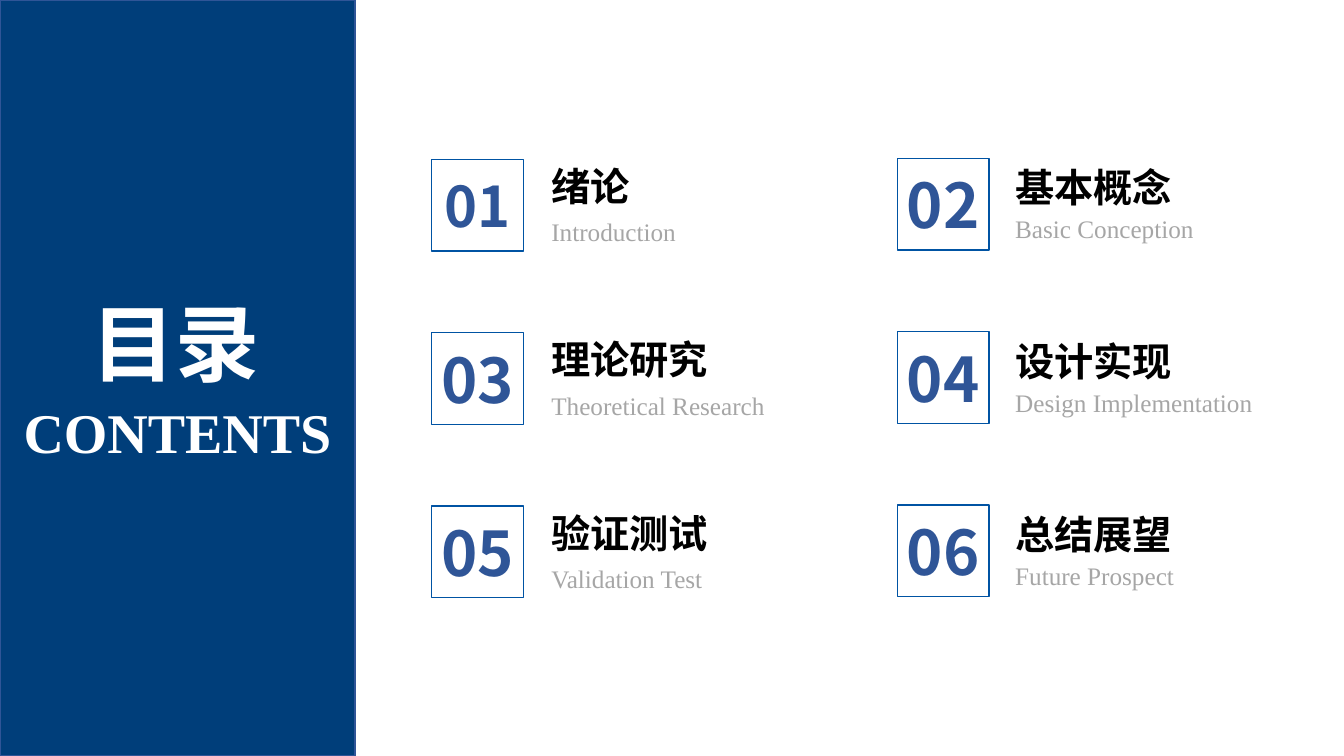
import pptx
import pptx.dml.color
import pptx.enum.shapes
import pptx.enum.text
import pptx.oxml.ns
import pptx.util

SLIDE_WIDTH, SLIDE_HEIGHT = 13.33, 7.5
PANEL_WIDTH = 3.52
CHINESE_FONT, LATIN_FONT = "Noto Sans CJK SC", "Times New Roman"
NAVY, BLUE, FRAME_BLUE = "003E7A", "2F5597", "0053A3"
WHITE, BLACK, GRAY = "FFFFFF", "000000", "A6A6A6"

CHAPTERS = [
    ("绪论", "Introduction"),
    ("基本概念", "Basic Conception"),
    ("理论研究", "Theoretical Research"),
    ("设计实现", "Design Implementation"),
    ("验证测试", "Validation Test"),
    ("总结展望", "Future Prospect"),
]
# Per column: frame left, first frame top, text left, title and subtitle offsets
COLUMNS = [
    (4.28, 1.58, 5.37, -0.02, 0.52),
    (8.9, 1.57, 9.97, 0, 0.5),
]
ROW_PITCH = 1.72
FRAME_SIZE = 0.91
NUMBER_WIDTH, NUMBER_HEIGHT = 0.98, 0.84
TEXT_WIDTH = 2.62

ALIGN = pptx.enum.text.PP_ALIGN


def color(hex_string):
    return pptx.dml.color.RGBColor.from_string(hex_string)


def add_rectangle(slide, left, top, width, height, line, fill=None):
    shape = slide.shapes.add_shape(
        pptx.enum.shapes.MSO_SHAPE.RECTANGLE,
        *map(pptx.util.Inches, (left, top, width, height)))
    shape.shadow.inherit = False
    if fill:
        shape.fill.solid()
        shape.fill.fore_color.rgb = color(fill)
    else:
        shape.fill.background()
    shape.line.color.rgb = color(line)
    shape.line.width = pptx.util.Pt(1)


def add_text(slide, text, left, top, width, height, *, size, font, fill,
             bold=False, align=ALIGN.LEFT):
    box = slide.shapes.add_textbox(
        *map(pptx.util.Inches, (left, top, width, height)))
    frame = box.text_frame
    frame.word_wrap = True
    frame.vertical_anchor = pptx.enum.text.MSO_ANCHOR.MIDDLE
    paragraph = frame.paragraphs[0]
    paragraph.alignment = align
    run = paragraph.add_run()
    run.text = text
    run.font.size = pptx.util.Pt(size)
    run.font.bold = bold
    run.font.color.rgb = color(fill)
    run.font.name = font
    east_asian = run.font._element.makeelement(
        pptx.oxml.ns.qn("a:ea"), {"typeface": font})
    run.font._element.append(east_asian)


def add_chapter(slide, index, title, subtitle):
    row, column = divmod(index, len(COLUMNS))
    left, first_top, text_left, title_offset, subtitle_offset = COLUMNS[column]
    top = first_top + row * ROW_PITCH
    add_text(slide, title, text_left, top + title_offset, TEXT_WIDTH, 0.57,
             size=28, font=CHINESE_FONT, fill=BLACK, bold=True)
    add_text(slide, subtitle, text_left, top + subtitle_offset, TEXT_WIDTH, 0.4,
             size=18, font=LATIN_FONT, fill=GRAY)
    add_text(slide, f"{index + 1:02d}",
             left + (FRAME_SIZE - NUMBER_WIDTH) / 2,
             top + (FRAME_SIZE - NUMBER_HEIGHT) / 2,
             NUMBER_WIDTH, NUMBER_HEIGHT, size=40 if index == 0 else 44,
             font=CHINESE_FONT, fill=BLUE, bold=True, align=ALIGN.CENTER)
    add_rectangle(slide, left, top, FRAME_SIZE, FRAME_SIZE, FRAME_BLUE)


def main():
    presentation = pptx.Presentation()
    presentation.slide_width = pptx.util.Inches(SLIDE_WIDTH)
    presentation.slide_height = pptx.util.Inches(SLIDE_HEIGHT)
    slide = presentation.slides.add_slide(presentation.slide_layouts[6])
    add_rectangle(slide, 0, 0, PANEL_WIDTH, SLIDE_HEIGHT, BLUE, fill=NAVY)
    add_text(slide, "目录", 0.78, 2.84, 1.89, 1.11, size=60,
             font=CHINESE_FONT, fill=WHITE, bold=True, align=ALIGN.RIGHT)
    add_text(slide, "CONTENTS", 0, 3.89, PANEL_WIDTH, 0.77, size=40,
             font=LATIN_FONT, fill=WHITE, bold=True, align=ALIGN.CENTER)
    for index, (title, subtitle) in enumerate(CHAPTERS):
        add_chapter(slide, index, title, subtitle)
    presentation.save("out.pptx")


if __name__ == "__main__":
    main()
